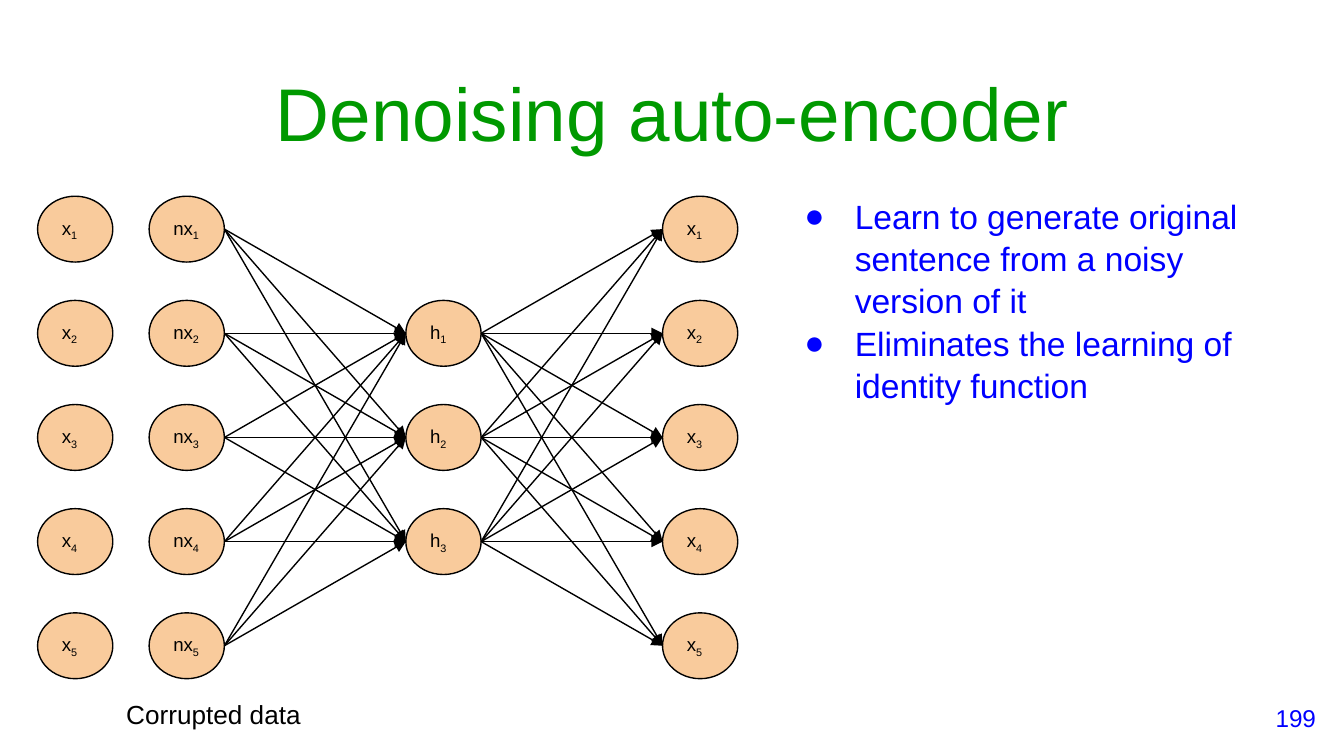
from itertools import product

from lxml import etree
from pptx import Presentation
from pptx import util as u
from pptx.dml.color import RGBColor
from pptx.enum import shapes, text
from pptx.oxml import ns

PX = 4572
WIDE, HIGH = 112, 98
TOP, STEP = 292, 155
BLACK, BLUE, GREEN, PEACH = "000000", "0000FF", "009900", "F9CB9C"


def tint(part, color):
    part.rgb = RGBColor.from_string(color)


def style(frame, size, color, align, anchor, inset=20):
    frame.word_wrap = True
    frame.auto_size = text.MSO_AUTO_SIZE.NONE
    frame.vertical_anchor = anchor
    frame.margin_left = frame.margin_right = 20 * PX
    frame.margin_top = frame.margin_bottom = inset * PX
    for para in frame.paragraphs:
        para.alignment = align
        for run in para.runs:
            run.font.name = "Arial"
            run.font.size = u.Pt(size)
            tint(run.font.color, color)


left, center, right = text.PP_ALIGN.LEFT, text.PP_ALIGN.CENTER, text.PP_ALIGN.RIGHT
top, middle = text.MSO_ANCHOR.TOP, text.MSO_ANCHOR.MIDDLE

deck = Presentation()
deck.slide_width, deck.slide_height = 2000 * PX, 1125 * PX
slide = deck.slides.add_slide(deck.slide_layouts[1])

title = slide.shapes.title
title.left, title.top, title.width, title.height = [n * PX for n in (68, 98, 1864, 136)]
title.text_frame.text = "Denoising auto-encoder"
style(title.text_frame, 40, GREEN, center, middle, 10)

body = slide.placeholders[1]
body.left, body.top, body.width, body.height = [n * PX for n in (1152, 268, 780, 692)]
frame = body.text_frame
frame.text = (
    "Learn to generate original sentence from a noisy version of it\n"
    "Eliminates the learning of identity function"
)
for para in frame.paragraphs:
    para.space_before = u.Pt(0)
    para.line_spacing = 1.05
    props = para._p.get_or_add_pPr()
    props.set("marL", str(100 * PX))
    props.set("indent", str(-75 * PX))
    color = etree.SubElement(props, ns.qn("a:buClr"))
    etree.SubElement(color, ns.qn("a:srgbClr"), val=BLUE)
    etree.SubElement(props, ns.qn("a:buFont"), typeface="Arial")
    etree.SubElement(props, ns.qn("a:buChar"), char="●")
style(frame, 18, BLUE, left, top)

layers = [
    ("x", 56, range(5)),
    ("nx", 222, range(5)),
    ("h", 604, range(1, 4)),
    ("x", 986, range(5)),
]
for name, x, rows in layers:
    for count, row in enumerate(rows, 1):
        node = slide.shapes.add_shape(
            shapes.MSO_SHAPE.OVAL, x * PX, (TOP + row * STEP) * PX, WIDE * PX, HIGH * PX
        )
        node.shadow.inherit = False
        node.fill.solid()
        tint(node.fill.fore_color, PEACH)
        tint(node.line.color, BLACK)
        node.line.width = u.Pt(0.75)
        para = node.text_frame.paragraphs[0]
        para.text = name
        sub = para.add_run()
        sub.text = str(count)
        sub._r.get_or_add_rPr().set("baseline", "-25000")
        style(node.text_frame, 10, BLACK, left, middle)

for (_, x, rows), (_, end, ends) in zip(layers[1:], layers[2:]):
    for row, goal in product(rows, ends):
        y, stop = [TOP + HIGH // 2 + n * STEP for n in (row, goal)]
        edge = slide.shapes.add_connector(
            shapes.MSO_CONNECTOR.STRAIGHT, (x + WIDE) * PX, y * PX, end * PX, stop * PX
        )
        tint(edge.line.color, BLACK)
        edge.line.width = u.Pt(0.75)
        etree.SubElement(edge.line._get_or_add_ln(), ns.qn("a:tailEnd"), type="triangle")
        etree.SubElement(edge._element.spPr, ns.qn("a:effectLst"))

for words, x, y, wide, high, size, color, align in [
    ("Corrupted data", 168, 1020, 336, 98, 14, BLACK, left),
    ("199", 1858, 1026, 120, 86, 13, BLUE, right),
]:
    box = slide.shapes.add_textbox(x * PX, y * PX, wide * PX, high * PX)
    box.text_frame.text = words
    style(box.text_frame, size, color, align, top)

deck.save("out.pptx")
